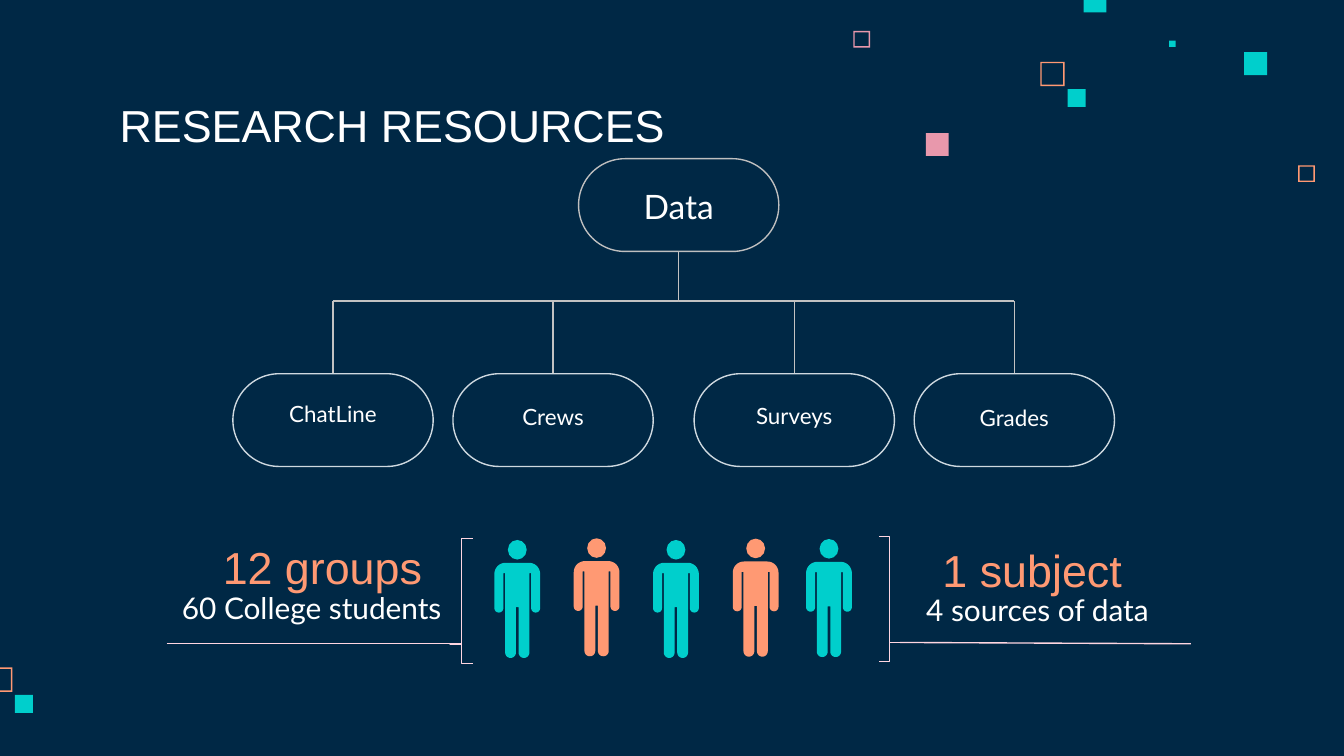
import math
from dataclasses import dataclass

import pptx
import pptx.dml.color
import pptx.enum.shapes
import pptx.enum.text
import pptx.oxml.ns
import pptx.util
from lxml import etree

Pt = pptx.util.Pt
SHAPE = pptx.enum.shapes.MSO_SHAPE
CONNECTOR = pptx.enum.shapes.MSO_CONNECTOR
ALIGN = pptx.enum.text.PP_ALIGN
ANCHOR = pptx.enum.text.MSO_ANCHOR

COLOURS = {
    "navy": "002845", "white": "FFFFFF", "teal": "00CFCC", "orange": "FF9973",
    "pink": "E898AC", "blush": "FFD6E1", "branch": "C2C2C2",
    "leaf": "CFD9E0", "root": "BFBFBF",
}


@dataclass
class Square:
    left: float
    top: float
    size: float
    colour: str
    hollow: bool = False


@dataclass
class Source:
    name: str
    centre: float
    label_top: float


@dataclass
class Person:
    left: float
    top: float
    colour: str


@dataclass
class Fact:
    figure: str
    detail: str
    figure_box: tuple[float, float]
    detail_box: tuple[float, float]
    brace: int
    brace_box: tuple[float, float, float, float]
    tip: float
    underline: tuple[float, float, float, float]


SQUARES = [
    Square(695.5, 88.6, 8.9, "orange", True),
    Square(457.2, 16.6, 8.9, "pink", True),
    Square(557.3, 33.1, 13, "orange", True),
    Square(626.4, 21.8, 3.4, "teal"),
    Square(580.5, -5.6, 12.3, "teal"),
    Square(666.5, 28, 12.3, "teal"),
    Square(572, 47.7, 9.6, "teal"),
    Square(496, 71.3, 12.3, "pink"),
    Square(-6.4, 357.6, 13, "orange", True),
    Square(8, 372.3, 9.6, "teal"),
]
ROOT_CENTRE, ROOT_TOP, BRANCH_Y, LEAF_TOP = 363.6, 85, 161.3, 200.2
PILL_WIDTH, PILL_HEIGHT = 107.3, 49.7
SOURCES = [
    Source("ChatLine", 178.4, 207.4),
    Source("Crews", 296.3, 208.8),
    Source("Surveys", 425.5, 208.1),
    Source("Grades", 543.4, 209.5),
]
PEOPLE = [
    Person(264.9, 301.5, "teal"), Person(307.4, 300.6, "orange"),
    Person(349.9, 301.5, "teal"), Person(392.6, 300.8, "orange"),
    Person(431.9, 301, "teal"),
]
FACTS = [
    Fact("12 groups", "60 College students", (66.2, 291.6), (74.9, 308.9),
         SHAPE.LEFT_BRACE, (241.1, 288.6, 12.2, 67), 0.843, (89.3, 344.9, 247.5, 344.9)),
    Fact("1 subject", "4 sources of data", (446.4, 293), (463.7, 309.6),
         SHAPE.RIGHT_BRACE, (470.9, 287.5, 11.1, 66.9), 0.849, (482.2, 344.2, 638, 344.9)),
]


def rgb(name: str) -> pptx.dml.color.RGBColor:
    return pptx.dml.color.RGBColor.from_string(COLOURS[name])


def paint(shape, fill: str = "", line: str = "") -> None:
    shape.shadow.inherit = False
    if fill:
        shape.fill.solid()
        shape.fill.fore_color.rgb = rgb(fill)
    else:
        shape.fill.background()
    if line:
        shape.line.color.rgb = rgb(line)
        shape.line.width = Pt(0.75)
    else:
        shape.line.fill.background()


def add_preset(shapes, preset: int, box: tuple, fill: str = "", line: str = ""):
    shape = shapes.add_shape(preset, *map(Pt, box))
    paint(shape, fill, line)
    return shape


def add_line(shapes, ends: tuple, colour: str, elbow: bool = False) -> None:
    kind = CONNECTOR.ELBOW if elbow else CONNECTOR.STRAIGHT
    connector = shapes.add_connector(kind, *map(Pt, ends))
    connector.line.color.rgb = rgb(colour)
    connector.line.width = Pt(0.75)
    properties = connector._element.spPr
    etree.SubElement(properties, pptx.oxml.ns.qn("a:effectLst"))
    if elbow:
        properties.find(pptx.oxml.ns.qn("a:prstGeom")).set("prst", "bentConnector2")


def write(shape, box: tuple, text: str, size: float, font: str, colour: str = "white",
          align: int = ALIGN.CENTER, anchor: int = ANCHOR.TOP) -> None:
    shape.left, shape.top, shape.width, shape.height = map(Pt, box)
    frame = shape.text_frame
    frame.text = text
    frame.word_wrap = True
    frame.auto_size = pptx.enum.text.MSO_AUTO_SIZE.NONE
    frame.vertical_anchor = anchor
    frame.margin_left = frame.margin_right = Pt(7.2)
    frame.margin_top = frame.margin_bottom = Pt(7.2)
    paragraph = frame.paragraphs[0]
    paragraph.alignment = align
    paragraph.space_before = Pt(0)
    run = paragraph.runs[0]
    run.font.size, run.font.name = Pt(size), font
    run.font.color.rgb = rgb(colour)


def add_label(shapes, box: tuple, *style, **options) -> None:
    write(shapes.add_textbox(*map(Pt, box)), box, *style, **options)


def arc(x: float, y: float, radius: float, start: int, end: int) -> list[tuple]:
    angles = [math.radians(start + (end - start) * step / 12) for step in range(13)]
    return [(x + radius * math.cos(a), y + radius * math.sin(a)) for a in angles]


def add_person(shapes, person: Person) -> None:
    # Left half: shoulder, hand, armpit, foot, inner leg; then its mirror image
    half = (arc(6, 6, 6, 270, 180) + arc(2.4, 24.3, 2.4, 180, 0)
            + [(4.8, 5.5), (5.75, 5.5)] + arc(8.65, 48.1, 2.9, 180, 0) + [(11.55, 23.8)])
    outline = half + [(24.5 - x, y) for x, y in reversed(half)]
    points = [(Pt(person.left + x), Pt(person.top + y)) for x, y in outline]
    group = shapes.add_group_shape()
    builder = group.shapes.build_freeform(*points[0])
    builder.add_line_segments(points[1:], close=True)
    paint(builder.convert_to_shape(), person.colour)
    head = (person.left + 7.2, person.top - 12.2, 10.1, 10.5)
    add_preset(group.shapes, SHAPE.OVAL, head, person.colour)


def add_pill(shapes, centre: float, top: float, line: str) -> None:
    box = (centre - PILL_WIDTH / 2, top, PILL_WIDTH, PILL_HEIGHT)
    add_preset(shapes, SHAPE.ROUNDED_RECTANGLE, box, line=line).adjustments[0] = 0.5


def main() -> None:
    presentation = pptx.Presentation()
    presentation.slide_width, presentation.slide_height = Pt(720), Pt(405)
    slide = presentation.slides.add_slide(presentation.slide_layouts[1])
    shapes = slide.shapes
    slide.background.fill.solid()
    slide.background.fill.fore_color.rgb = rgb("navy")

    # Scattered squares
    for square in SQUARES:
        preset = SHAPE.FRAME if square.hollow else SHAPE.RECTANGLE
        box = (square.left, square.top, square.size, square.size)
        shape = add_preset(shapes, preset, box, square.colour)
        if square.hollow:
            shape.adjustments[0] = 0.72 / square.size

    # Title and root label
    write(shapes.title, (56.9, 43.2, 372.2, 45.4), "RESEARCH RESOURCES", 24, "Arial",
          align=ALIGN.LEFT, anchor=ANCHOR.BOTTOM)
    body = slide.placeholders[1]
    write(body, (308.9, 92.2, 109.4, 45.4), "Data", 18, "Lato")
    properties = body.text_frame.paragraphs[0]._p.get_or_add_pPr()
    properties.set("marL", "0")
    properties.set("indent", "0")
    etree.SubElement(properties, pptx.oxml.ns.qn("a:buNone"))

    # Data tree
    for end in (SOURCES[0], SOURCES[-1]):
        trunk = (end.centre, BRANCH_Y, ROOT_CENTRE, ROOT_TOP + PILL_HEIGHT)
        add_line(shapes, trunk, "branch", elbow=True)
    add_pill(shapes, ROOT_CENTRE, ROOT_TOP, "root")
    for source in SOURCES:
        add_line(shapes, (source.centre, BRANCH_Y, source.centre, LEAF_TOP), "branch")
        add_pill(shapes, source.centre, LEAF_TOP, "leaf")
        add_label(shapes, (source.centre - 57.6, source.label_top, 115.2, 29.5),
                  source.name, 12, "Lato")

    # People and the facts on either side
    for person in PEOPLE:
        add_person(shapes, person)
    for fact in FACTS:
        brace = add_preset(shapes, fact.brace, fact.brace_box, line="blush")
        brace.adjustments[0], brace.adjustments[1] = 0, fact.tip
        add_line(shapes, fact.underline, "blush")
        add_label(shapes, (*fact.figure_box, 213.1, 23.8), fact.figure, 24, "Arial",
                  "orange", anchor=ANCHOR.MIDDLE)
        add_label(shapes, (*fact.detail_box, 184.3, 23.8), fact.detail, 16, "Lato")

    presentation.save("out.pptx")


if __name__ == "__main__":
    main()
